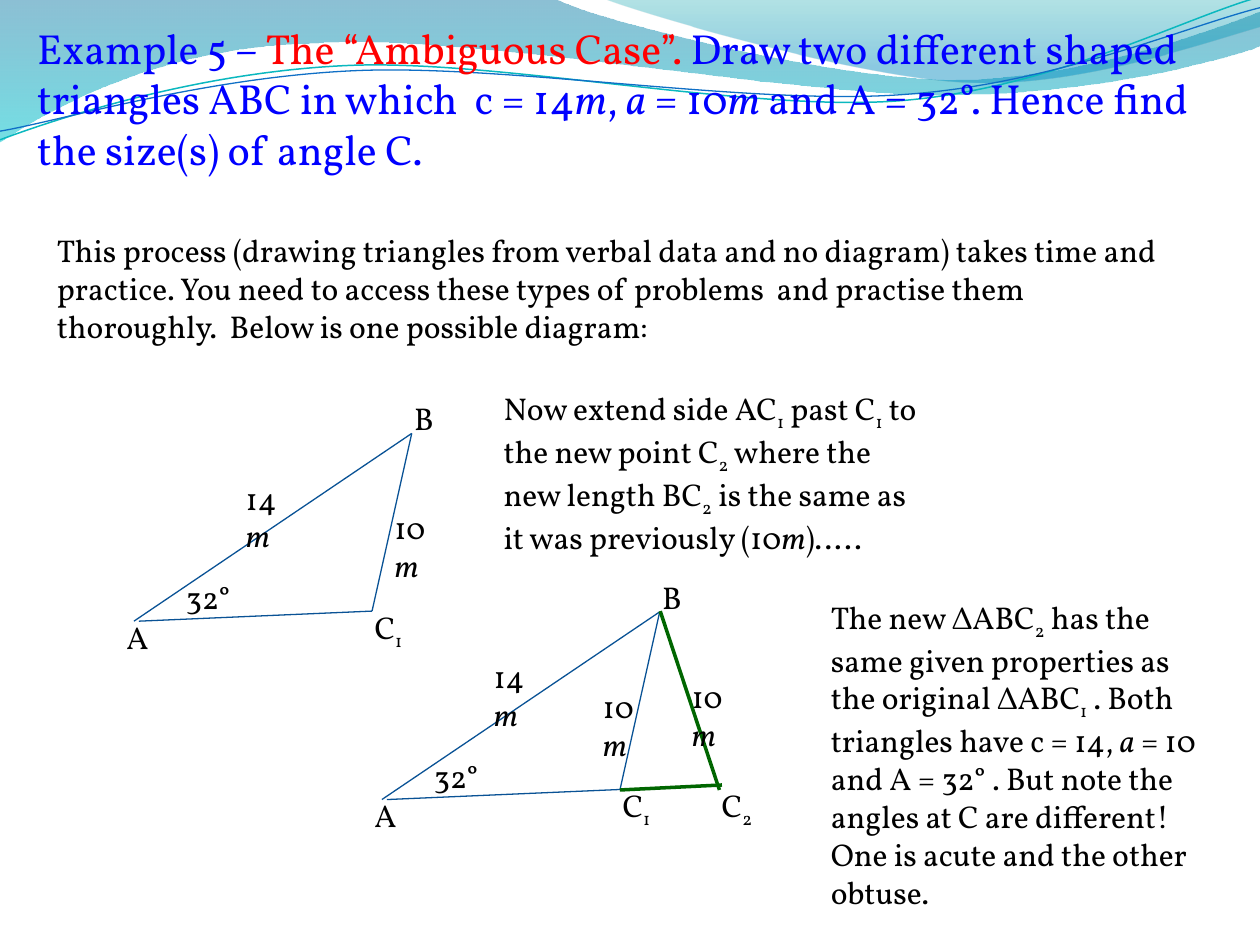
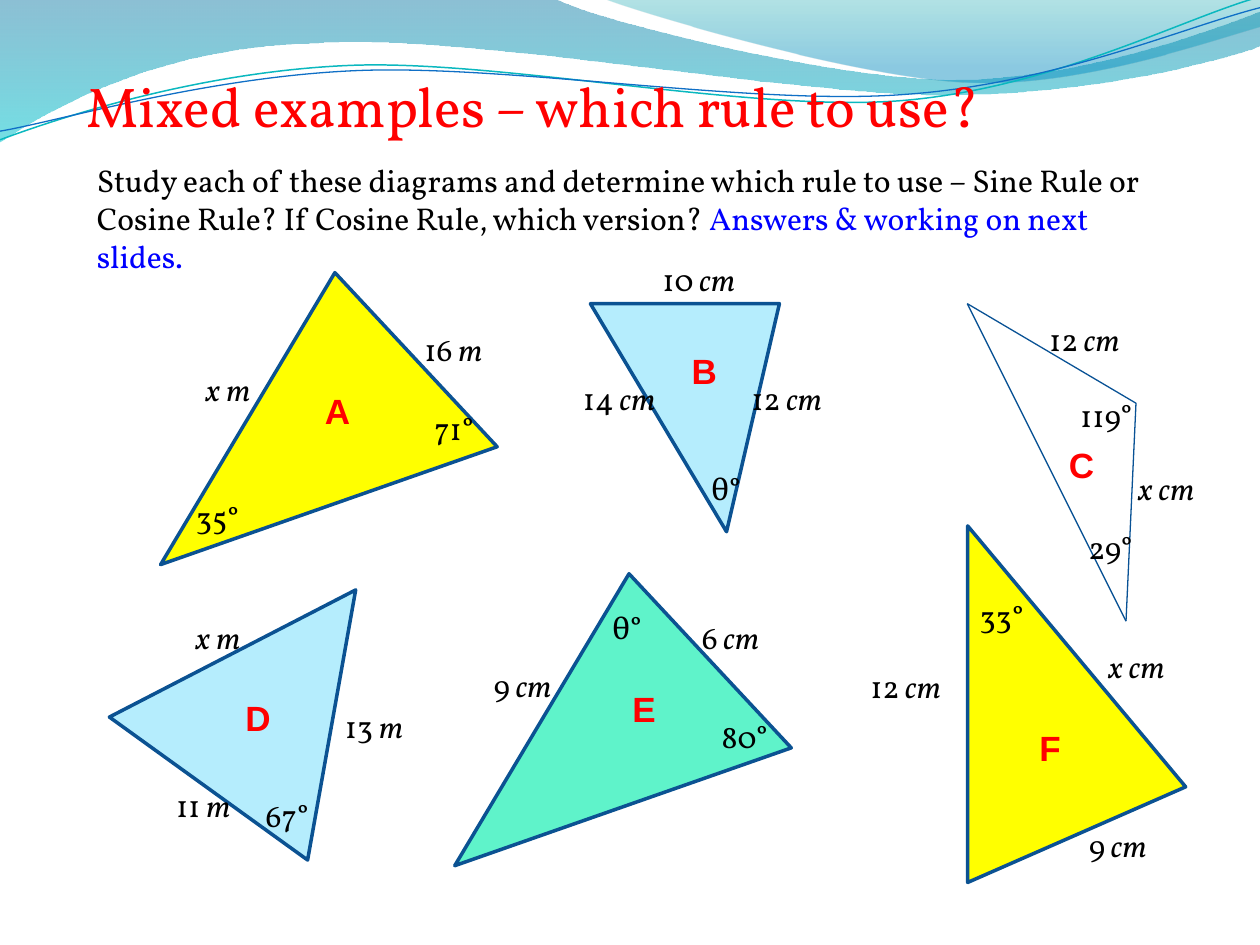
from lxml.etree import SubElement
from pptx import Presentation
from pptx.dml.color import RGBColor
from pptx.enum.shapes import MSO_CONNECTOR as Connector, MSO_SHAPE as Shape
from pptx.enum.text import MSO_AUTO_SIZE as AutoSize
from pptx.oxml.ns import qn
from pptx.util import Inches, Pt

COLUMNS, ROWS = 100, 75
BLACK, BLUE, RED, GREEN = "000000", "0000FF", "FF0000", "006600"
YELLOW, SKY, MINT = "FFFF00", "B5EDFD", "5FF3CA"
SIDE, OUTLINE = "095295", "0B5292"
RIPPLE_TURN = 357.3

BANDS = [
    ([(0, 0), (44, -0.1), (47.6, 1.7, 66.4, 6.3, 75.8, 6.3),
      (85.3, 6.3, 95.8, 2.6, 100, 0.9), (100.1, 3.6),
      (98.3, 4.4, 87, 7.6, 74.6, 7.5), (62.2, 7.5, 38.2, 2.8, 25.7, 3.4),
      (12.9, 3.6, 4.6, 8.3, -0.1, 11.3)],
     [(0, "0074A1", 45), (1, "00C6CF", 55)]),
    ([(47.9, -0.1), (50.9, 1.1, 68.2, 6.2, 76.9, 6.5),
      (85.6, 6.9, 96.1, 3.2, 100, 2.1), (100, 0)],
     [(0, "00A1A9", 30), (0.8, "008BBF", 45)]),
]
RIPPLES = [
    ([(-0.2, 8.74), (4.68, 7.18, 15.84, 4.09, 27.75, 4.15),
      (39.56, 4.21, 59.14, 9.34, 71.17, 9.01),
      (83.2, 8.67, 93.95, 3.57, 100.03, 2.16)], "0AB8BF", 0.85),
    ([(-0.16, 8.05), (4.58, 7.47, 16.43, 4.52, 28.34, 4.58),
      (40.35, 4.65, 59.57, 8.86, 71.6, 8.52),
      (83.52, 8.28, 94.23, 4.18, 100.2, 2.97)], "0F6FC6", 0.75),
]


def rgb(code):
    return RGBColor.from_string(code)


def italic(text):
    return text, {"italic": True}


def sub(text):
    return text, {"baseline": -25000}


def tinted(text, color):
    return text, {"color": color}


class Lesson:
    """Holds the style and the current slide, and draws on a 100 by 75 grid."""

    def __init__(self):
        self.deck = Presentation()
        self.deck.slide_width, self.deck.slide_height = Inches(10), Inches(7.5)
        self.font, self.size = "Vollkorn", 18

    def place(self, *lengths):
        units = self.deck.slide_width / COLUMNS, self.deck.slide_height / ROWS
        return [round(length * units[i % 2]) for i, length in enumerate(lengths)]

    def new_slide(self):
        self.slide = self.deck.slides.add_slide(self.deck.slide_layouts[6])
        if len(self.deck.slides) == 1:
            self.backdrop()

    def backdrop(self):
        for segments, stops in BANDS:
            self.share(self.band(segments, stops))
        for segments, color, weight in RIPPLES:
            ripple = self.outline(segments, False)
            ripple.rotation = RIPPLE_TURN
            ripple.fill.background()
            self.stroke(ripple, color, weight)
            self.share(ripple)

    def share(self, shape):
        tree = self.deck.slide_master.shapes._spTree
        shape._element.nvSpPr.cNvPr.set("id", str(20 + len(tree)))
        tree.append(shape._element)

    def outline(self, segments, closed):
        corners = [self.place(*segment[-2:]) for segment in segments]
        builder = self.slide.shapes.build_freeform(*corners[0])
        builder.add_line_segments(corners[1:], close=closed)
        shape = builder.convert_to_shape()
        shape.shadow.inherit = False
        strokes = list(shape._element.iter(qn("a:lnTo")))
        for stroke, segment in zip(strokes, segments[1:]):
            if len(segment) == 6:
                self.bend(shape, stroke, segment)
        return shape

    def bend(self, shape, stroke, segment):
        stroke.tag = qn("a:cubicBezTo")
        for position in (0, 1):
            x, y = self.place(*segment[2 * position:2 * position + 2])
            handle = stroke.makeelement(
                qn("a:pt"), {"x": str(x - shape.left), "y": str(y - shape.top)})
            stroke.insert(position, handle)

    def band(self, segments, stops):
        wave = self.outline(segments, True)
        wave.line.fill.background()
        wave.fill.gradient()
        wave.fill.gradient_angle = 270
        for stop, (position, color, _) in zip(wave.fill.gradient_stops, stops):
            stop.position = position
            stop.color.rgb = rgb(color)
        colors = list(wave._element.spPr.iter(qn("a:srgbClr")))
        for color, (_, _, opacity) in zip(colors, stops):
            SubElement(color, qn("a:alpha")).set("val", str(opacity * 1000))
        return wave

    def stroke(self, shape, color, weight):
        shape.line.color.rgb = rgb(color)
        shape.line.width = Pt(weight)

    def line(self, start, end, color=SIDE, weight=0.75):
        side = self.slide.shapes.add_connector(
            Connector.STRAIGHT, *self.place(*start, *end))
        self.stroke(side, color, weight)
        SubElement(side._element.spPr, qn("a:effectLst"))

    def triangle(self, box, turn, apex, color):
        shape = self.slide.shapes.add_shape(Shape.ISOSCELES_TRIANGLE, *self.place(*box))
        shape.shadow.inherit = False
        shape.adjustments[0] = apex
        shape.rotation = turn
        shape.fill.solid()
        shape.fill.fore_color.rgb = rgb(color)
        self.stroke(shape, OUTLINE, 2)

    def text(self, box, *runs, color=BLACK, size=None, font=None, bold=False):
        frame = self.slide.shapes.add_textbox(*self.place(*box)).text_frame
        frame.word_wrap = True
        frame.auto_size = AutoSize.SHAPE_TO_FIT_TEXT
        for entry in runs:
            words, style = (entry, {}) if isinstance(entry, str) else entry
            run = frame.paragraphs[0].add_run()
            run.text = words
            run.font.name = font or self.font
            run.font.size = Pt(size or self.size)
            run.font.bold = bold
            run.font.italic = style.get("italic", False)
            run.font.color.rgb = rgb(style.get("color", color))
            if "baseline" in style:
                run.font._element.set("baseline", str(style["baseline"]))

    def label(self, left, top, width, *runs):
        self.text((left, top, width, 4), *runs)

    def letter(self, left, top, name):
        self.text((left, top, 4.7, 4.4), name, color=RED, size=20, font="Arial", bold=True)

    def measure(self, left, top, width, value, unit):
        if value == "x":
            self.label(left, top, width, italic(f"x {unit}"))
        else:
            self.label(left, top, width, value, italic(f" {unit}"))


def draw_abc(lesson, left, top, ten_left):
    lesson.line((left + 1.57, top + 18.1), (left + 23.62, top + 3.2))
    lesson.line((left + 1.97, top + 18.1), (left + 20.47, top + 17.3))
    lesson.line((left + 23.62, top + 3.2), (left + 20.47, top + 17.3))
    lesson.label(left, top + 17.34, 4.7, "A")
    lesson.label(left + 22.83, top, 4.7, "B")
    lesson.label(left + 19.69, top + 16.54, 4.7, "C", sub("1"))
    lesson.label(left + 9.45, top + 6.3, 6.3, "14", italic("m"))
    lesson.label(left + 4.72, top + 14.2, 8.7, "32°")
    lesson.label(ten_left, top + 8.65, 6.3, "10", italic("m"))


def ambiguous_case(lesson):
    lesson.new_slide()
    lesson.text((1.97, 1.3, 93.7, 13.1), "Example 5 – ",
                tinted("The “Ambiguous Case”. ", RED),
                "Draw two different shaped triangles ABC in which  c = 14",
                italic("m"), ", ", italic("a"), " = 10", italic("m"),
                " and A = 32°. Hence find the size(s) of angle C.",
                color=BLUE, size=24)
    lesson.text((3.54, 17.84, 90.6, 10.1),
                "This process (drawing triangles from verbal data and no diagram) takes "
                "time and practice. You need to access these types of problems  and "
                "practise them thoroughly.  Below is one possible diagram:")
    draw_abc(lesson, 9.06, 31.2, 30.31)
    lesson.text((38.98, 30.4, 35.4, 13.1), "Now extend side AC", sub("1"),
                " past C", sub("1"), " to the new point C", sub("2"),
                " where the new length BC", sub("2"),
                " is the same as it was previously (10", italic("m"), ")…..")
    draw_abc(lesson, 28.74, 45.36, 46.85)
    lesson.line((49.2, 62.7), (57.3, 62.3), GREEN, 2)
    lesson.label(56.3, 61.9, 4.7, "C", sub("2"))
    lesson.line((52.4, 48.5), (57.1, 62.7), GREEN, 2)
    lesson.label(53.9, 53.24, 6.3, "10", italic("m"))
    lesson.text((64.96, 46.94, 32.3, 25.2), "The new ΔABC", sub("2"),
                " has the same given properties as the original ΔABC", sub("1"),
                " . Both triangles have c = 14, ", italic("a"),
                " = 10 and A = 32° . But note the angles at C are different! "
                "One is acute and the other obtuse.")


SOLID_TRIANGLES = [
    ((9.1, 23.32, 28.3, 17.3), 340.7, 0.732, YELLOW),
    ((32.44, 47.22, 28.3, 17.3), 340.7, 0.732, MINT),
    ((46.86, 24.1, 15, 18.1), 180, 0.28, SKY),
    ((11.42, 50.9, 22, 17.3), 152.7, 0.601, SKY),
    ((71.3, 47.24, 28.3, 17.3), 90, 0.732, YELLOW),
]
THIN_CORNERS = [(76.77, 24.1), (90.16, 32), (89.37, 49.3)]
LETTERS = [(24.8, 30.4, "A"), (53.9, 27.25, "B"), (83.86, 34.7, "C"),
           (18.5, 54.8, "D"), (49.2, 54.04, "E"), (81.5, 57.2, "F")]
ANGLES = [(14.57, 39.06, "35°"), (33.5, 32, "71°"), (55.5, 36.7, "θ°"),
          (85.4, 41.4, "29°"), (84.75, 30.96, "119°"), (20.1, 62.7, "67°"),
          (47.64, 47.74, "θ°"), (56.3, 56.4, "80°"), (76.77, 46.9, "33°")]
SIDES = [(15.35, 28.84, 6.3, "x", "m"), (32.7, 25.7, 8.7, "16", "m"),
         (45.28, 29.6, 10.2, "14", "cm"), (51.6, 20.16, 8.7, "10", "cm"),
         (58.66, 29.6, 8.7, "12", "cm"), (89.37, 36.7, 7.9, "x", "cm"),
         (82.28, 24.9, 8.7, "12", "cm"), (14.57, 48.54, 6.3, "x", "m"),
         (12.99, 61.9, 8.7, "11", "m"), (26.38, 55.6, 8.7, "13", "m"),
         (38.2, 52.4, 7.9, "9", "cm"), (54.72, 48.54, 8.7, "6", "cm"),
         (85.43, 65.1, 8.7, "9", "cm"), (87, 50.86, 7.9, "x", "cm"),
         (68.1, 52.45, 8.7, "12", "cm")]


def mixed_examples(lesson):
    lesson.new_slide()
    lesson.text((5.9, 5.2, 86.6, 6.4), "Mixed examples – which rule to use?",
                color=RED, size=32)
    lesson.text((6.7, 12.3, 86.6, 7.1),
                "Study each of these diagrams and determine which rule to use – Sine Rule "
                "or Cosine Rule? If Cosine Rule, which version? ",
                tinted("Answers & working on next slides.", BLUE))
    for triangle in SOLID_TRIANGLES:
        lesson.triangle(*triangle)
    for index, corner in enumerate(THIN_CORNERS):
        lesson.line(THIN_CORNERS[index - 1], corner)
    for letter in LETTERS:
        lesson.letter(*letter)
    for left, top, angle in ANGLES:
        lesson.label(left, top, 6.3, angle)
    for side in SIDES:
        lesson.measure(*side)


def main():
    lesson = Lesson()
    ambiguous_case(lesson)
    mixed_examples(lesson)
    lesson.deck.save("out.pptx")


if __name__ == "__main__":
    main()
